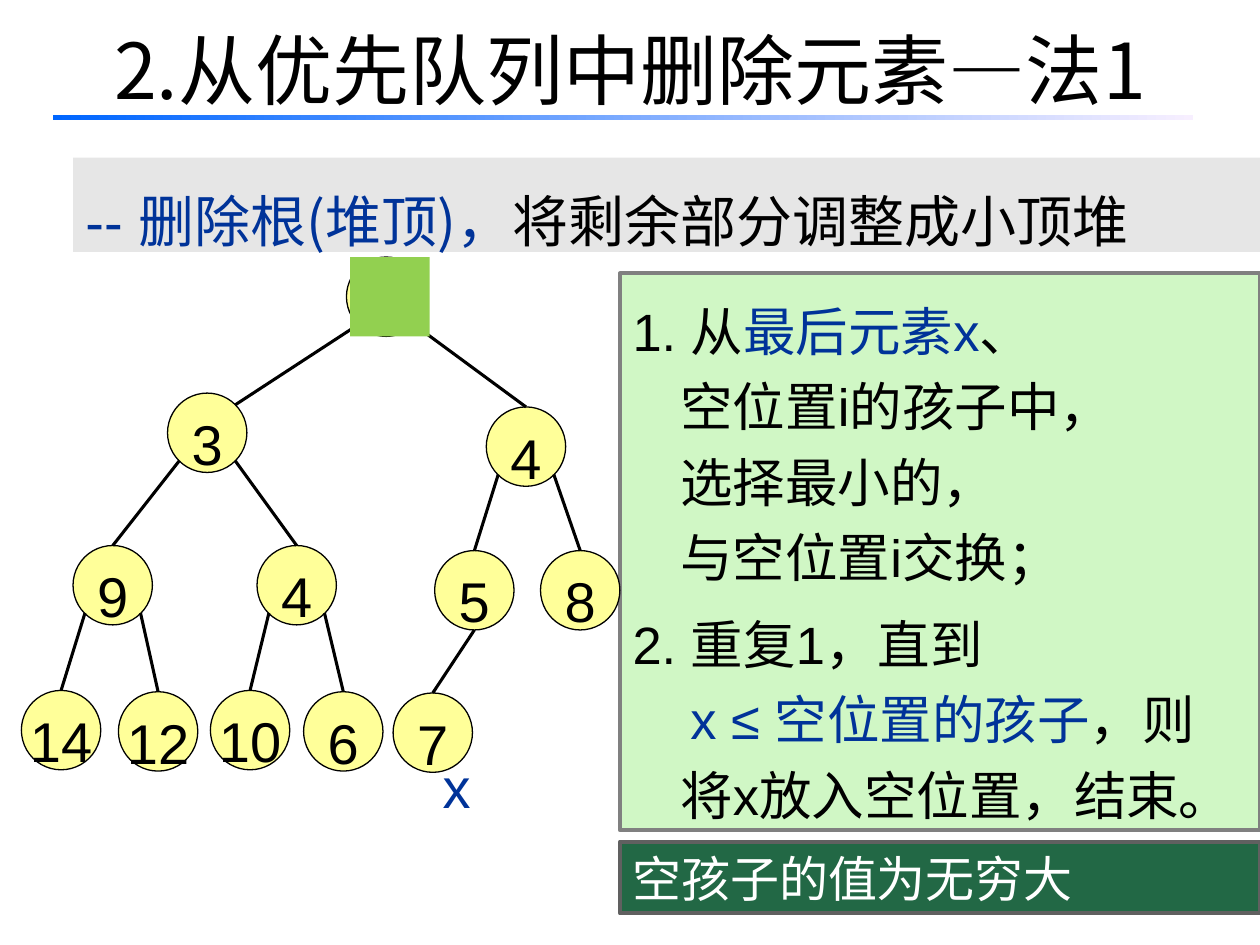
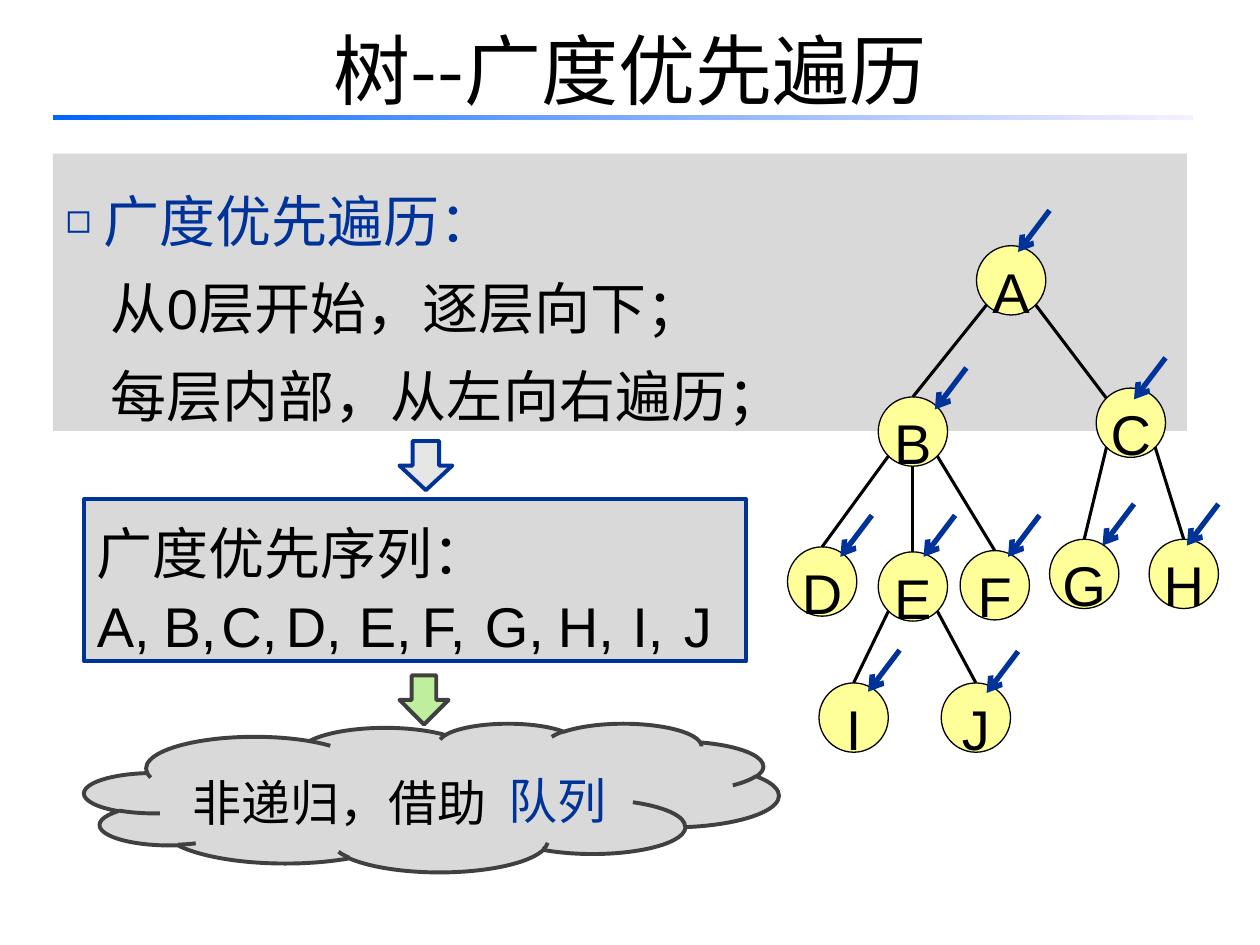
from lxml.etree import SubElement
from pptx import Presentation
from pptx.dml.color import RGBColor
from pptx.enum.shapes import MSO_CONNECTOR, MSO_SHAPE
from pptx.enum.text import MSO_ANCHOR, MSO_AUTO_SIZE, PP_ALIGN
from pptx.oxml.ns import qn
from pptx.util import Inches, Pt

ARIAL, CJK = "Arial", "Noto Sans CJK SC"
BLACK, BLUE, YELLOW, GRAY = "000000", "003399", "FFFF99", "D9D9D9"
LEFT, RIGHT, BOTTOM = (.15, .85), (.85, .85), (.5, 1)

HEAP_TITLE = "2.从优先队列中删除元素—法1"
HEAP_BANNER = [("-- ", BLUE), ("删除根(堆顶)，", BLUE, CJK), ("将剩余部分调整成小顶堆", BLACK)]
HEAP_STEPS = [
    (0, 0, [("1. 从", BLACK), ("最后元素x", BLUE), ("、", BLACK)]),
    (.38, 0, [("空位置i的孩子中，", BLACK)]),
    (.38, 0, [("选择最小的，", BLACK)]),
    (.38, 0, [("与空位置i交换；", BLACK)]),
    (0, 6, [("2. 重复1，直到", BLACK)]),
    (.46, 0, [("x ≤ 空位置的孩子", BLUE), ("，则", BLACK)]),
    (.38, 0, [("将x放入空位置，结束。", BLACK)]),
]
HEAP_NODES = {
    "root": ("", 2.75, 2.04), "l": ("3", 1.33, 3.12), "r": ("4", 3.86, 3.23),
    "ll": ("9", .58, 4.33), "lr": ("4", 2.04, 4.33), "rl": ("5", 3.45, 4.37),
    "rr": ("8", 4.29, 4.37), "lll": ("14", .17, 5.48), "llr": ("12", .94, 5.49),
    "lrl": ("10", 1.67, 5.48), "lrr": ("6", 2.41, 5.49), "rll": ("7", 3.12, 5.5),
}
HEAP_EDGES = [
    ("root", "l", LEFT, (.85, .15)), ("root", "r", RIGHT), ("l", "ll", LEFT),
    ("l", "lr", RIGHT), ("r", "rl", LEFT), ("r", "rr", RIGHT),
    ("ll", "lll", LEFT), ("ll", "llr", RIGHT), ("lr", "lrl", LEFT),
    ("lr", "lrr", RIGHT), ("rl", "rll", BOTTOM),
]

TREE_TITLE = "树--广度优先遍历"
TREE_RULES = [
    (.3, "◻", [("广度优先遍历：", BLUE)]),
    (.36, None, [("从0层开始，逐层向下；", BLACK)]),
    (.36, None, [("每层内部，从左向右遍历；", BLACK)]),
]
TREE_NODES = {c: (c, x, y) for c, x, y in [
    ("A", 7.75, 1.95), ("B", 6.97, 3.15), ("C", 8.7, 3.08), ("D", 6.25, 4.34),
    ("E", 6.97, 4.38), ("F", 7.62, 4.37), ("G", 8.33, 4.28), ("H", 9.12, 4.28),
    ("I", 6.5, 5.42), ("J", 7.47, 5.42)]}
TREE_EDGES = [
    ("A", "B", LEFT), ("A", "C", RIGHT, (.15, .15)), ("B", "D", LEFT),
    ("B", "E", BOTTOM), ("B", "F", RIGHT), ("C", "G", LEFT), ("C", "H", RIGHT),
    ("E", "I", LEFT), ("E", "J", RIGHT),
]
VISIT_TIPS = [
    (8.08, 2), (7.42, 3.25), (9, 3.17), (6.67, 4.42), (7.33, 4.42),
    (8, 4.42), (8.75, 4.33), (9.42, 4.33), (6.89, 5.49), (7.83, 5.5),
]
VISIT_ORDER = [
    ("A,", .67), ("B,", 1.2), ("C,", 1.66), ("D,", 2.17), ("E,", 2.75),
    ("F,", 3.25), ("G,", 3.75), ("H,", 4.33), ("I,", 4.92), ("J", 5.33),
]


def rgb(color):
    return RGBColor.from_string(color)


def place(sp, x, y, w, h):
    sp.left, sp.top, sp.width, sp.height = map(Inches, (x, y, w, h))
    return sp


def paint(sp, fill, line=None, width=2.25):
    sp.fill.solid()
    sp.fill.fore_color.rgb = rgb(fill)
    if line:
        sp.line.color.rgb = rgb(line)
        sp.line.width = Pt(width)
    else:
        sp.line.fill.background()
    return sp


def shape(slide, kind, at, fill, line=None, width=2.25):
    sp = slide.shapes.add_shape(kind, *map(Inches, at))
    sp.shadow.inherit = False
    return paint(sp, fill, line, width)


def frame(sp, anchor=MSO_ANCHOR.TOP, top=.1, side=.1):
    tf = sp.text_frame
    tf.auto_size = MSO_AUTO_SIZE.NONE
    tf.word_wrap = True
    tf.vertical_anchor = anchor
    tf.margin_left = tf.margin_right = Inches(side)
    tf.margin_top, tf.margin_bottom = Inches(top), Inches(.05)
    return tf


def write(p, runs, size, spacing=None, align=PP_ALIGN.LEFT, before=0):
    p.alignment = align
    p.space_before = Pt(before)
    if spacing:
        p.line_spacing = Pt(round(size * 1.2 * spacing, 1))
    for text, color, *font in runs:
        r = p.add_run()
        r.text = text
        r.font.size = Pt(size)
        r.font.color.rgb = rgb(color)
        r.font.name = font[0] if font else ARIAL
        SubElement(r._r.get_or_add_rPr(), qn("a:ea")).set("typeface", CJK)


def indent(p, left, bullet=None):
    pPr = p._p.get_or_add_pPr()
    pPr.set("marL", str(Inches(left)))
    pPr.set("indent", str(-Inches(left) if bullet else 0))
    if bullet:
        SubElement(pPr, qn("a:buSzPct")).set("val", "75000")
        SubElement(pPr, qn("a:buChar")).set("char", bullet)
    else:
        SubElement(pPr, qn("a:buNone"))


def paragraphs(tf, count):
    return [tf.paragraphs[0]] + [tf.add_paragraph() for _ in range(count - 1)]


def label(slide, at, text, color, size, spacing=None, align=PP_ALIGN.LEFT, top=.1, side=.1):
    sp = slide.shapes.add_textbox(*map(Inches, at))
    write(frame(sp, top=top, side=side).paragraphs[0], [(text, color)], size, spacing, align)


def line(slide, start, end, color, width, arrow=False):
    cx = slide.shapes.add_connector(MSO_CONNECTOR.STRAIGHT, *map(Inches, start + end))
    cx.line.color.rgb = rgb(color)
    cx.line.width = Pt(width)
    if arrow:
        SubElement(cx.line._get_or_add_ln(), qn("a:tailEnd")).set("type", "arrow")
    SubElement(cx._element.spPr, qn("a:effectLst"))
    return cx


def titled_slide(prs, title):
    slide = prs.slides.add_slide(prs.slide_layouts[1])
    sp = place(slide.shapes.title, .5, -.08, 9, 1.25)
    write(frame(sp, MSO_ANCHOR.MIDDLE, .05).paragraphs[0], [(title, BLACK, CJK)],
          44, align=PP_ALIGN.CENTER)
    rule = shape(slide, MSO_SHAPE.RECTANGLE, (.42, .91, 9.05, .04), BLUE)
    rule.fill.gradient()
    rule.fill.gradient_angle = 0
    for stop, color in zip(rule.fill.gradient_stops, ("0066FF", "F7EFFF")):
        stop.color.rgb = rgb(color)
    return slide


def tree(slide, nodes, edges, d):
    circles = {}
    for key, (text, x, y) in nodes.items():
        sp = circles[key] = shape(slide, MSO_SHAPE.OVAL, (x, y, d, d), YELLOW, BLACK, .75)
        if text:
            tf = frame(sp, MSO_ANCHOR.MIDDLE, .08, 0)
            tf.word_wrap = False
            write(tf.paragraphs[0], [(text, BLACK)], 32, 1.25, PP_ALIGN.CENTER)

    def point(key, share):
        _, x, y = nodes[key]
        return x + share[0] * d, y + share[1] * d

    for parent, child, start, *end in edges:
        cx = line(slide, point(parent, start), point(child, end[0] if end else (.5, 0)),
                  BLACK, 1.75)
        if not end:
            cx.end_connect(circles[child], 0)


def heap_slide(prs):
    slide = titled_slide(prs, HEAP_TITLE)
    panel = paint(place(slide.placeholders[1], 4.92, 2.17, 5.08, 4.42), "D0F7C5", "808080")
    tf = frame(panel)
    tf.margin_right = 0
    for p, (left, before, runs) in zip(paragraphs(tf, len(HEAP_STEPS)), HEAP_STEPS):
        indent(p, left)
        write(p, runs, 30, 1.2, before=before)
    tree(slide, HEAP_NODES, HEAP_EDGES, .63)
    banner = shape(slide, MSO_SHAPE.RECTANGLE, (.58, 1.25, 9.42, .75), "E6E6E6")
    write(frame(banner).paragraphs[0], HEAP_BANNER, 32, 1.25)
    shape(slide, MSO_SHAPE.RECTANGLE, (2.78, 2.04, .63, .63), "92D050")
    label(slide, (3.33, 5.92, .59, .64), "x", BLUE, 32, align=PP_ALIGN.CENTER, top=.05)
    note = shape(slide, MSO_SHAPE.RECTANGLE, (4.92, 6.68, 5.08, .57), "226845", "606060")
    write(frame(note, MSO_ANCHOR.MIDDLE, .05).paragraphs[0],
          [("空孩子的值为无穷大", "FFFFFF")], 28)


def traversal_slide(prs):
    slide = titled_slide(prs, TREE_TITLE)
    body = paint(place(slide.placeholders[1], .42, 1.22, 9, 2.2), GRAY)
    for p, (left, bullet, runs) in zip(paragraphs(frame(body), len(TREE_RULES)), TREE_RULES):
        indent(p, left, bullet)
        write(p, runs, 32, 1.3)
    tree(slide, TREE_NODES, TREE_EDGES, .55)
    for x, y in VISIT_TIPS:
        line(slide, (x + .25, y - .33), (x, y), BLUE, 3, arrow=True)
    box = shape(slide, MSO_SHAPE.RECTANGLE, (.67, 3.96, 5.25, 1.29), GRAY, BLUE)
    write(frame(box).paragraphs[0], [("广度优先序列：", BLACK)], 32, 1.1)
    shape(slide, MSO_SHAPE.DOWN_ARROW, (3.17, 3.5, .42, .39), "E6E6E6", BLUE)
    for text, x in VISIT_ORDER:
        label(slide, (x, 4.5, .7, .71), text, BLACK, 32, 1.25, top=.06)
    cloud = shape(slide, MSO_SHAPE.CLOUD, (.67, 5.74, 5.51, 1.18), GRAY, "404040")
    write(frame(cloud).paragraphs[0], [("非递归，借助", BLACK)], 28, 1.25)
    shape(slide, MSO_SHAPE.DOWN_ARROW, (3.17, 5.36, .39, .39), "BFEE9C", "404040")
    label(slide, (3.93, 5.9, .99, .69), "队列", BLUE, 28, 1.25, PP_ALIGN.CENTER, side=0)


def main():
    prs = Presentation()
    prs.slide_width, prs.slide_height = Inches(10), Inches(7.5)
    heap_slide(prs)
    traversal_slide(prs)
    prs.save("out.pptx")


if __name__ == "__main__":
    main()
